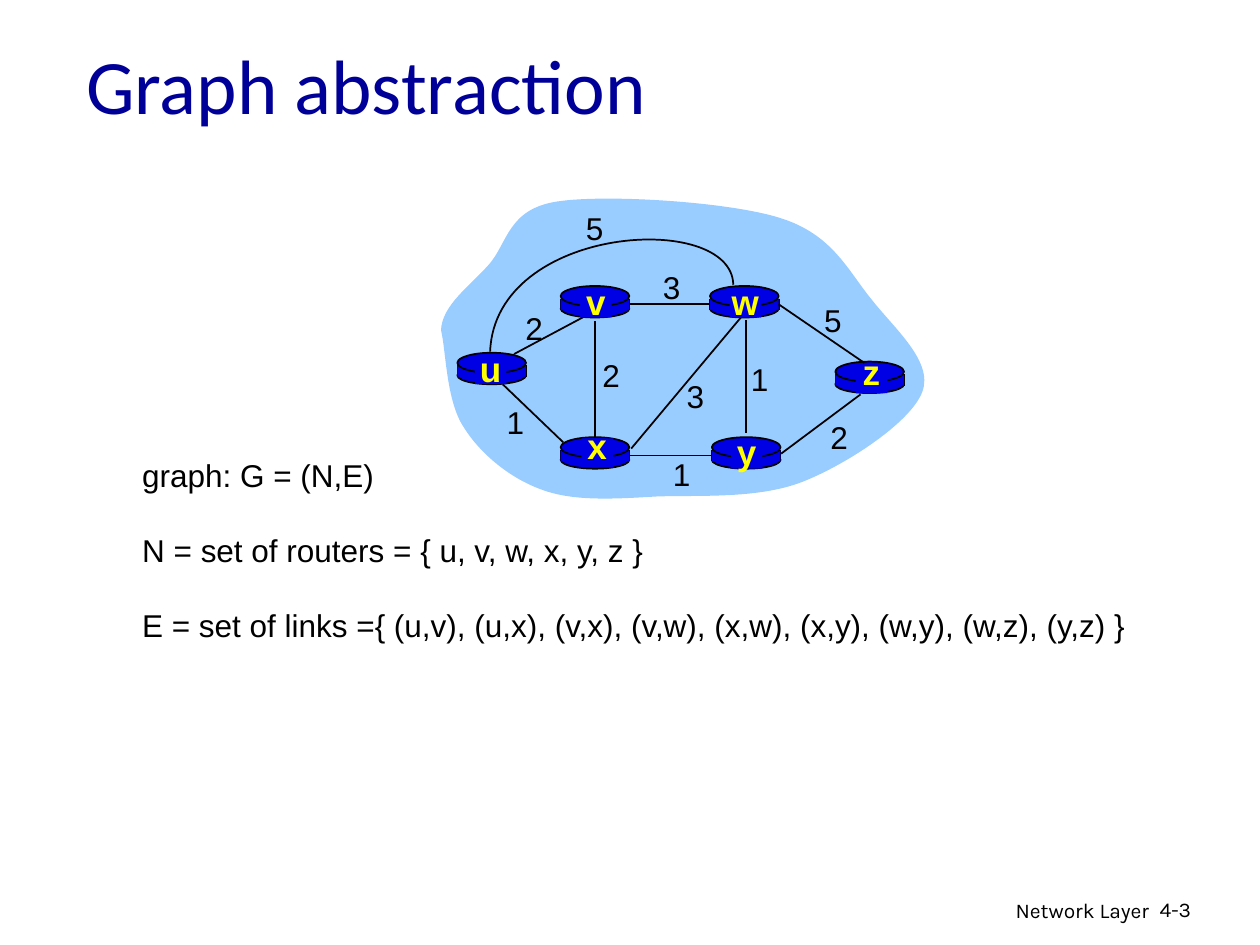
from lxml.etree import SubElement
from pptx import Presentation
from pptx.dml.color import RGBColor
from pptx.enum.shapes import MSO_CONNECTOR as LINK, MSO_SHAPE as SHAPE
from pptx.enum.text import MSO_ANCHOR as ANCHOR, MSO_AUTO_SIZE as FIT, PP_ALIGN as ALIGN
from pptx.oxml.ns import qn
from pptx.util import Inches, Pt

BLACK = RGBColor(0x00, 0x00, 0x00)
NAVY = RGBColor(0x00, 0x00, 0x99)
ROUTER_BLUE = RGBColor(0x00, 0x00, 0xE5)
CLOUD_BLUE = RGBColor(0x99, 0xCC, 0xFF)
YELLOW = RGBColor(0xFF, 0xFF, 0x00)

prs = Presentation()
prs.slide_width, prs.slide_height = Inches(10), Inches(7.5)
slide = prs.slides.add_slide(prs.slide_layouts[6])
shapes = slide.shapes

# The slide is a grid of 100 columns by 75 rows with square cells
CELL = prs.slide_width // 100


def add_text(box, lines, font, size, color, align=ALIGN.LEFT, bold=False, wrap=True, gap=0):
    area = shapes.add_textbox(*(round(n * CELL) for n in box))
    frame = area.text_frame
    frame.word_wrap = wrap
    frame.auto_size = FIT.NONE if wrap else FIT.SHAPE_TO_FIT_TEXT
    for i, line in enumerate(lines):
        para = frame.add_paragraph() if i else frame.paragraphs[0]
        para.alignment = align
        if i:
            para.space_before = Pt(gap)
        run = para.add_run()
        run.text = line
        run.font.name, run.font.size, run.font.bold = font, Pt(size), bold
        run.font.color.rgb = color
    return frame


def add_line(x1, y1, x2, y2):
    line = shapes.add_connector(LINK.STRAIGHT, *(round(n * CELL) for n in (x1, y1, x2, y2)))
    line.line.color.rgb, line.line.width = BLACK, Pt(1)
    SubElement(line._element.spPr, qn("a:effectLst"))
    return line


# Network cloud and the curved link u-w: a start, then three points per cubic segment
cloud = [(35, 26.2),
         (35.1, 24.2), (37.3, 22.7), (38.8, 21), (40.3, 19.3), (40.3, 16.6), (44.2, 16),
         (48, 15.4), (57.8, 16), (61.9, 17.3), (66.1, 18.6), (67.3, 21.5), (69.2, 23.8),
         (71, 26.1), (74.1, 28.7), (73.2, 31.1), (72.3, 33.5), (67.3, 36.8), (63.8, 38.2),
         (60.3, 39.6), (55.7, 39.3), (52.2, 39.4), (48.8, 39.6), (45.6, 39.8), (43.1, 38.9),
         (40.5, 38), (38.1, 36), (36.8, 33.9), (35.4, 31.8), (35.4, 27.8), (35, 26.2)]
arc = [(58.2, 22.6), (58.1, 16.7), (39.3, 17.8), (38.9, 27.9)]
for points in (cloud, arc):
    outline = [(x * CELL, y * CELL) for x, y in points]
    closed = points[0] == points[-1]
    builder = shapes.build_freeform(*outline[0], scale=1.0)
    builder.add_line_segments(outline[1:], close=closed)
    curve = builder.convert_to_shape()
    # Merge every three line points into one cubic segment
    corners = list(curve._element.iter(qn("a:lnTo")))
    for first, second, third in zip(*[iter(corners)] * 3):
        first.tag = qn("a:cubicBezTo")
        for corner in (second, third):
            first.append(corner[0])
            corner.getparent().remove(corner)
    curve.shadow.inherit = False
    if closed:
        curve.fill.solid()
        curve.fill.fore_color.rgb = CLOUD_BLUE
        curve.line.fill.background()
    else:
        curve.fill.background()
        curve.line.color.rgb, curve.line.width = BLACK, Pt(1)

# Link u-v runs behind the routers
add_line(40.8, 28.1, 46.8, 24.9)

# Routers: base ellipse, sides, body and lid, from the body's top left corner
routers = {"u": (36.3, 29), "x": (44.5, 35.7), "v": (44.5, 23.7),
           "w": (56.35, 23.7), "y": (56.5, 35.7), "z": (66.3, 29.7)}
WIDTH, BODY = 5.45, 0.9
bodies = {}
for name, (x, y) in routers.items():
    for kind, top, height in ((SHAPE.OVAL, y + 0.1, 1.4), (SHAPE.RECTANGLE, y, BODY),
                              (SHAPE.OVAL, y - 1, 1.6)):
        if kind == SHAPE.RECTANGLE:
            for side in (x, x + WIDTH):
                add_line(side, y, side, y + BODY)
        part = shapes.add_shape(kind, *(round(n * CELL) for n in (x, top, WIDTH, height)))
        part.shadow.inherit = False
        part.fill.solid()
        part.fill.fore_color.rgb = ROUTER_BLUE
        if kind == SHAPE.RECTANGLE:
            part.line.fill.background()
            bodies[name] = part
        else:
            part.line.color.rgb, part.line.width = BLACK, Pt(1)

# Straight links
for ends in ((59.2, 25.4, 59.2, 34.4), (47.2, 25.5, 47.2, 34.8), (50.1, 35.6, 58.8, 25.2),
             (62, 36, 68.3, 31.3), (44.7, 35.1, 39.9, 30.5)):
    add_line(*ends)
for left, right, y in (("x", "y", 36.2), ("v", "w", 24.2)):
    link = add_line(50, y, 56.5, y)
    link.begin_connect(bodies[left], 3)
    link.end_connect(bodies[right], 1)
add_line(61.8, 24.1, 68.6, 28.8).begin_connect(bodies["w"], 3)

# Router names on patches: patch left and top, width of the letter box, its rise above the patch
PATCH_W, PATCH_H = 2.5, 2.3
for name, x, y, width, rise in (
        ("u", 37.7, 28.2, 3.7, 1.1), ("y", 58, 34.9, 3.6, 1.2), ("x", 46.15, 34.8, 3.6, 1.6),
        ("w", 57.9, 22.9, 4.2, 1.1), ("v", 46.05, 22.9, 3.6, 1.1), ("z", 67.9, 28.9, 3.4, 1.6)):
    patch = shapes.add_shape(SHAPE.RECTANGLE, *(round(n * CELL) for n in (x, y, PATCH_W, PATCH_H)))
    patch.shadow.inherit = False
    patch.fill.solid()
    patch.fill.fore_color.rgb = ROUTER_BLUE
    patch.line.fill.background()
    add_text((x + (PATCH_W - width) / 2, y - rise, width, 4.4), [name], "Arial", 20, YELLOW,
             ALIGN.CENTER, bold=True, wrap=False)

# Link costs
for cost, x, y in (("2", 40.7, 24), ("2", 46.8, 27.8), ("1", 39.2, 31.5), ("3", 53.5, 29.4),
                   ("1", 52.4, 35.6), ("1", 58.6, 28.1), ("2", 64.9, 32.7), ("5", 64.4, 23.4),
                   ("3", 51.6, 20.8), ("5", 45.5, 16.1)):
    add_text((x, y, 3.4, 4), [cost], "Arial", 18, BLACK, ALIGN.CENTER, wrap=False)

# Definitions, title and footer
add_text((10.3, 35.7, 80.9, 16),
         ["graph: G = (N,E)",
          "N = set of routers = { u, v, w, x, y, z }",
          "E = set of links ={ (u,v), (u,x), (v,x), (v,w), (x,w), (x,y), (w,y), (w,z), (y,z) }"],
         "Arial", 18, BLACK, wrap=False, gap=21.4)
title = add_text((5.85, 2.3, 85, 8.7), ["Graph abstraction"], "Calibri", 44, NAVY)
title.vertical_anchor = ANCHOR.MIDDLE
add_text((60.5, 70.7, 31.7, 3.1), ["Network Layer"], "Karla", 12, BLACK, ALIGN.RIGHT)
add_text((91.05, 70.7, 7.4, 3), ["4-3"], "Karla", 12, BLACK)

prs.save("out.pptx")
